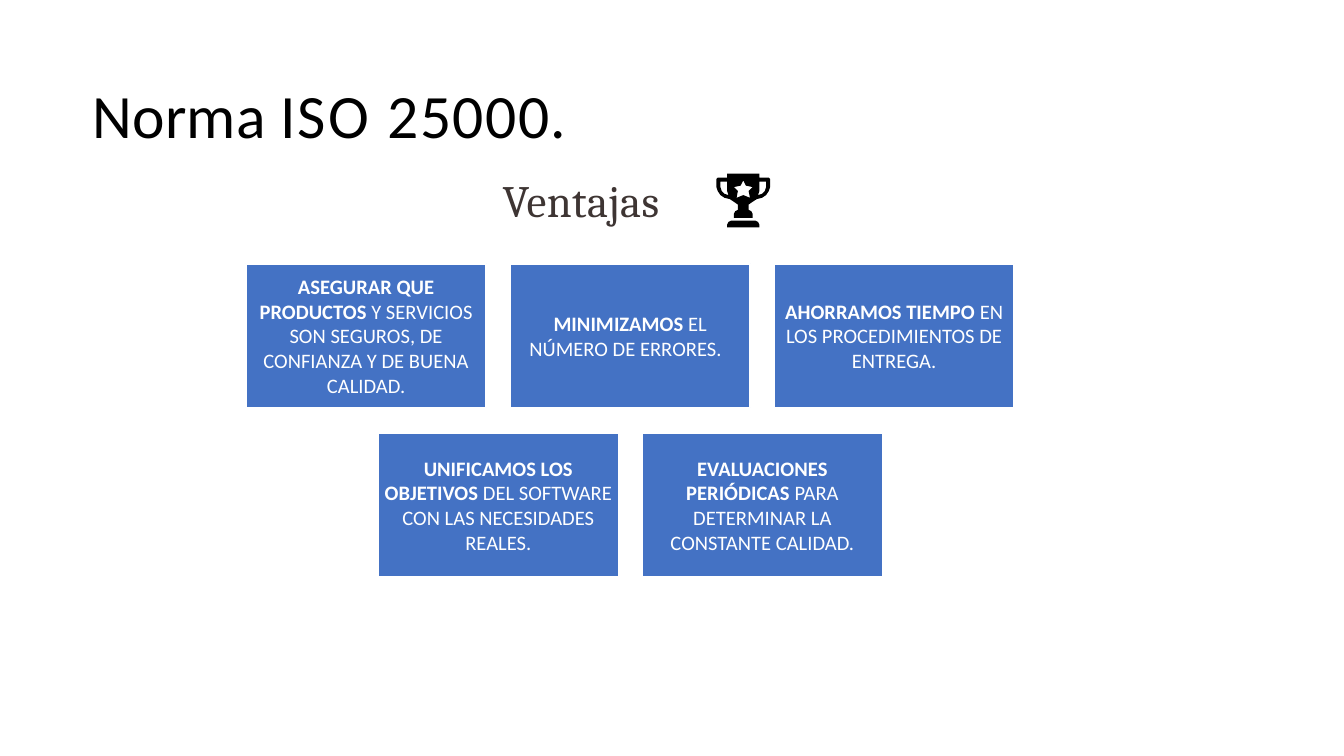
from pptx import Presentation, util as u
from pptx.dml.color import RGBColor
from pptx.enum import shapes, text

deck = Presentation()
deck.slide_width, deck.slide_height = u.Cm(25.4), u.Cm(14.28)
slide = deck.slides.add_slide(deck.slide_layouts[5])


def paint(fill, tone):
    fill.solid()
    fill.fore_color.rgb = RGBColor.from_string(tone)


def write(frame, runs, size, font="Calibri", tone="000000", pad=(0, 0.03, 0, 0),
          anchor=text.MSO_ANCHOR.MIDDLE, align=text.PP_ALIGN.LEFT, before=0):
    frame.word_wrap = True
    frame.auto_size = text.MSO_AUTO_SIZE.NONE
    frame.vertical_anchor = anchor
    frame.margin_left, frame.margin_top, frame.margin_right, frame.margin_bottom = map(u.Cm, pad)
    para = frame.paragraphs[0]
    para.alignment = align
    para.space_before = u.Pt(before)
    for words, bold, gap in runs:
        run = para.add_run()
        run.text = words
        run.font.size, run.font.name, run.font.bold = u.Pt(size), font, bold
        paint(run.font.fill, tone)
        if gap:
            run.font._element.set("spc", str(gap))


title = slide.shapes.title
title.left, title.top, title.width, title.height = map(u.Cm, (1.75, 0.76, 21.9, 2.77))
write(title.text_frame,
      [("Norma ", False, 10), ("ISO ", False, 120), ("25000.", False, 80)], 33, before=1)

head = slide.shapes.add_textbox(u.Cm(9.5), u.Cm(3.23), u.Cm(3.25), u.Cm(1.09))
write(head.text_frame, [("Ventajas", False, 20)], 24, font="Cambria", tone="3E3533",
      anchor=text.MSO_ANCHOR.TOP, before=1)

cup = [(32, 0), (32, 3), (39, 3), (40, 4), (40, 10), (39, 13), (37, 16), (34, 18),
       (30, 19), (27, 21), (24, 23), (24, 27), (26, 28), (27, 30), (27, 33)]
star = [(20, 5), (22, 9), (27, 10), (24, 13), (25, 18), (20, 16)]
base = [(29, 35), (31, 36), (32, 38), (32, 40)]
grip = [(32, 6), (37, 6), (37, 10), (36, 13), (34, 15), (31, 16), (32, 13)]
loops = [half + [(40 - x, y) for x, y in reversed(half)] for half in (cup, star, base)]
loops += [grip, [(40 - x, y) for x, y in grip]]

pen = slide.shapes.build_freeform(*loops[0][0], scale=u.Cm(0.0254))
for i, loop in enumerate(loops):
    if i:
        pen.move_to(*loop[0])
    pen.add_line_segments(loop[1:], close=True)
trophy = pen.convert_to_shape(u.Cm(13.54), u.Cm(3.28))
trophy.shadow.inherit = False
paint(trophy.fill, "000000")
trophy.line.fill.background()

rows = [
    (4.65, 4.98, [
        ("ASEGURAR QUE PRODUCTOS ", "Y SERVICIOS SON SEGUROS, DE CONFIANZA Y DE BUENA CALIDAD."),
        ("MINIMIZAMOS ", "EL NÚMERO DE ERRORES.\t"),
        ("AHORRAMOS TIEMPO ", "EN LOS PROCEDIMIENTOS DE ENTREGA.")]),
    (7.15, 8.18, [
        ("UNIFICAMOS LOS OBJETIVOS ", "DEL SOFTWARE CON LAS NECESIDADES REALES."),
        ("EVALUACIONES PERIÓDICAS ", "PARA DETERMINAR LA CONSTANTE CALIDAD.")]),
]
for left, top, cards in rows:
    for i, (lead, rest) in enumerate(cards):
        card = slide.shapes.add_shape(shapes.MSO_SHAPE.RECTANGLE, u.Cm(left + 4.99 * i),
                                      u.Cm(top), u.Cm(4.54), u.Cm(2.72))
        card.shadow.inherit = False
        paint(card.fill, "4472C4")
        paint(card.line.fill, "FFFFFF")
        card.line.width = u.Pt(1)
        write(card.text_frame, [(lead, True, 0), (rest, False, 0)], 11, tone="FFFFFF",
              pad=[0.12] * 4, align=text.PP_ALIGN.CENTER)

deck.save("out.pptx")
